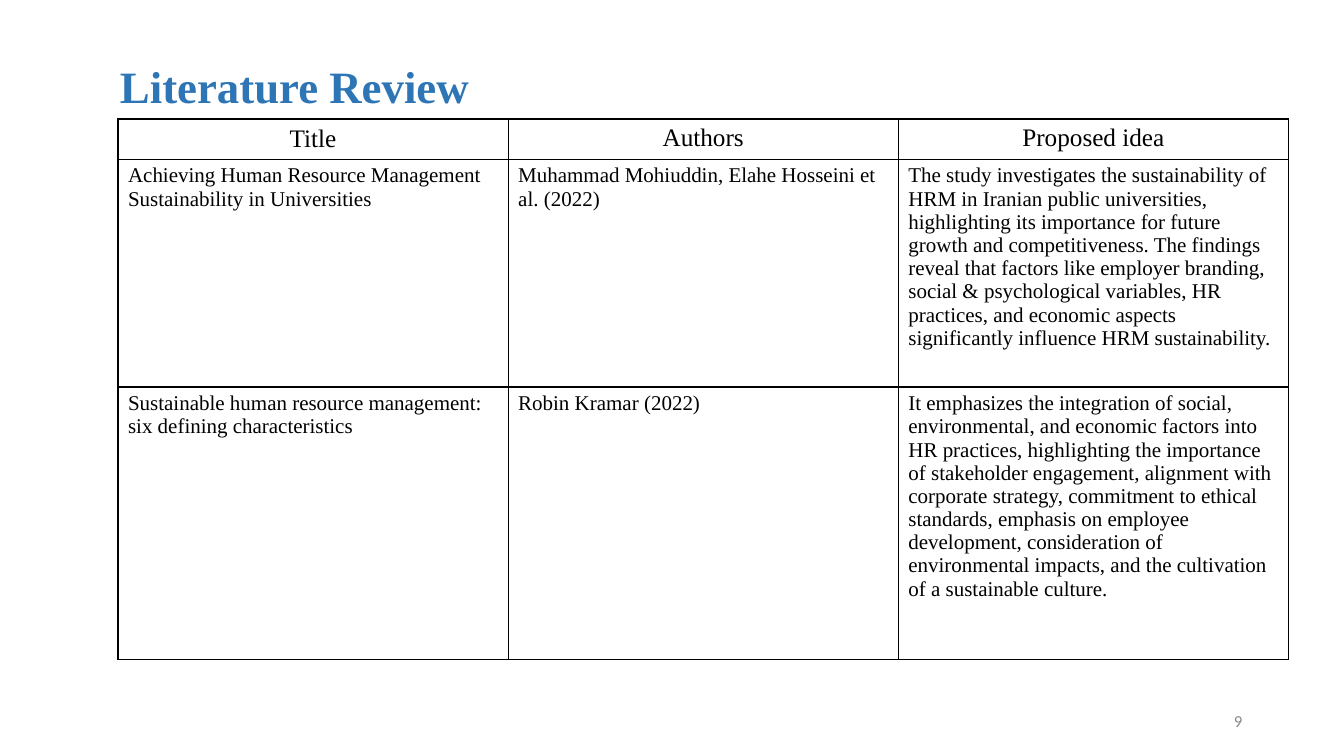
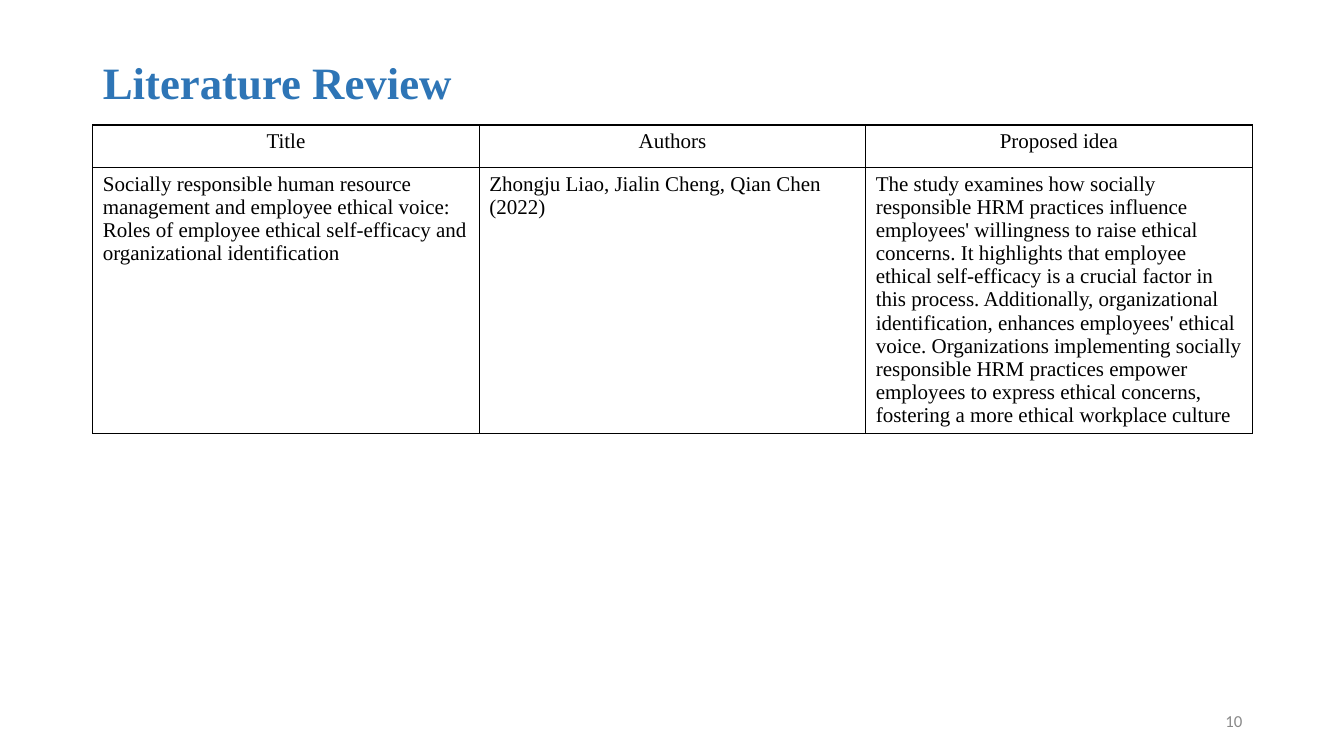
from dataclasses import dataclass

from lxml.etree import SubElement
from pptx import Presentation
from pptx.dml.color import RGBColor
from pptx.enum.text import MSO_ANCHOR, MSO_AUTO_SIZE, PP_ALIGN
from pptx.oxml.ns import qn
from pptx.util import Inches, Pt

BLUE = RGBColor(0x2E, 0x75, 0xB6)
BLACK = RGBColor(0, 0, 0)
GREY = RGBColor(0x89, 0x89, 0x89)
SERIF, SANS = "Times New Roman", "Calibri"
HEADING = "Literature Review"
HEADS = ("Title", "Authors", "Proposed idea")
BODY_SIZE = 15
TITLE_ONLY = 5

Box = tuple[float, float, float, float]
NUMBER_BOX: Box = (9.42, 6.95, 3, 0.4)


@dataclass(frozen=True)
class Study:
    title: str
    authors: str
    idea: str
    height: float


@dataclass(frozen=True)
class Review:
    number: int
    title_box: Box
    align: PP_ALIGN
    indent: float
    spacing: float
    left: float
    top: float
    width: float
    head_height: float
    head_size: int
    first_anchor: MSO_ANCHOR
    studies: tuple[Study, ...]


REVIEWS = (
    Review(
        9, (0.92, 0.4, 11.5, 0.9), PP_ALIGN.JUSTIFY, 0.17, 1.0,
        1.17, 1.18, 11.61, 0.4, 18, MSO_ANCHOR.MIDDLE,
        (
            Study(
                "Achieving Human Resource Management Sustainability in Universities",
                "Muhammad Mohiuddin, Elahe Hosseini et al. (2022)",
                "The study investigates the sustainability of HRM in Iranian public "
                "universities, highlighting its importance for future growth and "
                "competitiveness. The findings reveal that factors like employer "
                "branding, social & psychological variables, HR practices, and "
                "economic aspects significantly influence HRM sustainability.",
                2.26,
            ),
            Study(
                "Sustainable human resource management: six defining characteristics",
                "Robin Kramar (2022)",
                "It emphasizes the integration of social, environmental, and economic "
                "factors into HR practices, highlighting the importance of stakeholder "
                "engagement, alignment with corporate strategy, commitment to ethical "
                "standards, emphasis on employee development, consideration of "
                "environmental impacts, and the cultivation of a sustainable culture.",
                2.7,
            ),
        ),
    ),
    Review(
        10, (0.92, 0.12, 11.5, 1.45), PP_ALIGN.LEFT, 0, 0.9,
        0.92, 1.24, 11.5, 0.42, BODY_SIZE, MSO_ANCHOR.TOP,
        (
            Study(
                "Socially responsible human resource management and employee ethical "
                "voice: Roles of employee ethical self-efficacy and organizational "
                "identification",
                "Zhongju Liao, Jialin Cheng, Qian Chen (2022)",
                "The study examines how socially responsible HRM practices influence "
                "employees' willingness to raise ethical concerns. It highlights that "
                "employee ethical self-efficacy is a crucial factor in this process. "
                "Additionally, organizational identification, enhances employees' "
                "ethical voice. Organizations implementing socially responsible HRM "
                "practices empower employees to express ethical concerns, fostering a "
                "more ethical workplace culture",
                2.64,
            ),
        ),
    ),
)


def style(para, face: str, size: int, color: RGBColor, align: PP_ALIGN,
          bold: bool = False) -> None:
    para.alignment = align
    font = para.font
    font.name, font.size, font.bold = face, Pt(size), bold
    font.color.rgb = color


def add_title(slide, review: Review) -> None:
    title = slide.shapes.title
    title.left, title.top, title.width, title.height = map(Inches, review.title_box)
    frame = title.text_frame
    frame.text = HEADING
    frame.auto_size = MSO_AUTO_SIZE.NONE
    frame.vertical_anchor = MSO_ANCHOR.MIDDLE
    para = frame.paragraphs[0]
    style(para, SERIF, 32, BLUE, review.align, bold=True)
    para.line_spacing = review.spacing
    para._p.get_or_add_pPr().set("marL", str(Inches(review.indent)))


def add_number(slide, number: int) -> None:
    frame = slide.shapes.add_textbox(*map(Inches, NUMBER_BOX)).text_frame
    frame.word_wrap = True
    frame.vertical_anchor = MSO_ANCHOR.MIDDLE
    frame.text = str(number)
    style(frame.paragraphs[0], SANS, 12, GREY, PP_ALIGN.RIGHT)


def outline(cell) -> None:
    """Give all four sides of a cell a thin black border and no fill."""
    props = cell._tc.get_or_add_tcPr()
    for side in ("lnL", "lnR", "lnT", "lnB"):
        line = SubElement(props, qn(f"a:{side}"), w=str(Pt(1)))
        fill = SubElement(line, qn("a:solidFill"))
        SubElement(fill, qn("a:srgbClr"), val=str(BLACK))
    cell.fill.background()


def add_grid(slide, review: Review) -> None:
    rows = [HEADS] + [(s.title, s.authors, s.idea) for s in review.studies]
    heights = [review.head_height] + [s.height for s in review.studies]
    place = (review.left, review.top, review.width, sum(heights))
    table = slide.shapes.add_table(
        len(rows), len(HEADS), *map(Inches, place)).table
    table.first_row = table.horz_banding = False
    for r, (texts, height) in enumerate(zip(rows, heights)):
        table.rows[r].height = Inches(height)
        size = BODY_SIZE if r else review.head_size
        align = PP_ALIGN.LEFT if r else PP_ALIGN.CENTER
        for c, text in enumerate(texts):
            cell = table.cell(r, c)
            cell.text = text
            style(cell.text_frame.paragraphs[0], SERIF, size, BLACK, align)
            outline(cell)
    table.cell(0, 0).vertical_anchor = review.first_anchor


def main() -> None:
    deck = Presentation()
    deck.slide_width, deck.slide_height = Inches(13.33), Inches(7.5)
    for review in REVIEWS:
        slide = deck.slides.add_slide(deck.slide_layouts[TITLE_ONLY])
        add_title(slide, review)
        add_grid(slide, review)
        add_number(slide, review.number)
    deck.save("out.pptx")


if __name__ == "__main__":
    main()
